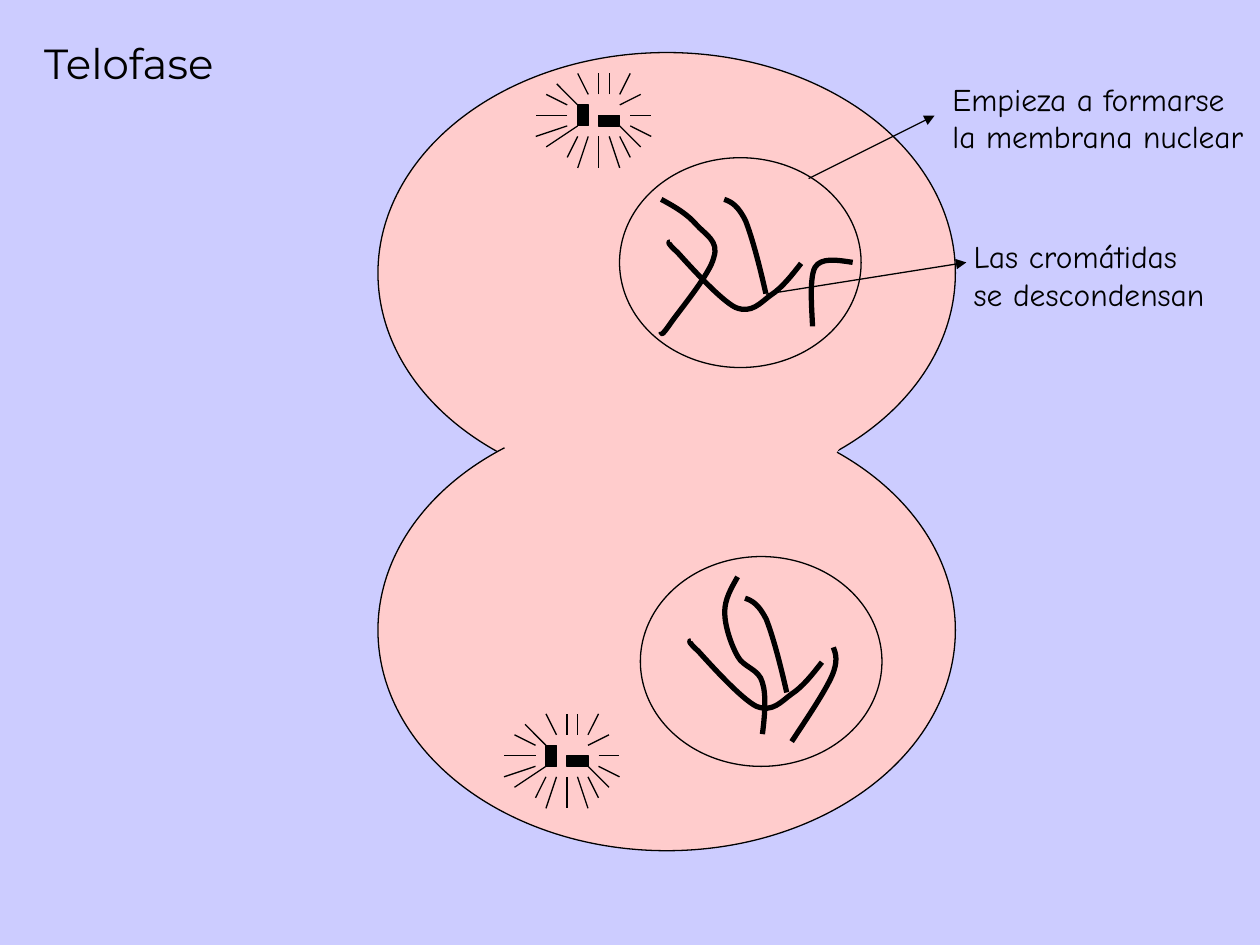
from dataclasses import dataclass

from lxml.etree import SubElement
from pptx import Presentation
from pptx.dml.color import RGBColor
from pptx.enum.shapes import MSO_CONNECTOR as Connector, MSO_SHAPE as Shape
from pptx.enum.text import MSO_AUTO_SIZE as AutoSize
from pptx.oxml.ns import qn
from pptx.util import Cm, Pt


@dataclass(frozen=True)
class Theme:
    background: RGBColor = RGBColor(0xCC, 0xCC, 0xFF)
    cytoplasm: RGBColor = RGBColor(0xFF, 0xCC, 0xCC)
    ink: RGBColor = RGBColor(0, 0, 0)
    title: RGBColor = RGBColor(0xFF, 0, 0)
    thin: Pt = Pt(0.75)
    thick: Pt = Pt(3)
    title_outline: Pt = Pt(1)
    title_font: str = "Montserrat"
    title_size: Pt = Pt(24)
    label_font: str = "Comic Neue"
    label_size: Pt = Pt(18)


THEME = Theme()

# Rays of an aster, in grid steps from its centre: x1, y1, x2, y2
STEP = 2.54 / 12
RAYS = [
    (-1, -2, -2, -4), (0, -2, 0, -4), (1, -2, 1, -4), (2, -2, 3, -4),
    (2, -1, 4, -2), (3, 0, 5, 0), (3, 1, 5, 2), (2, 1, 4, 3),
    (2, 2, 3, 4), (1, 2, 2, 5), (0, 2, 0, 5), (-1, 2, -2, 5),
    (-2, 2, -3, 4), (-2, 1, -5, 3), (-3, 1, -6, 2), (-3, 0, -6, 0),
    (-3, -1, -5, -2), (-4, -3, -2, -1),
]
# Centrioles: x, y, rotation
CENTRIOLES = [(-2, -1, 0), (0.5, -0.5, 270)]

# Chromatids as Bezier points, in cm from the corner of their nucleus
ARC = [(2.11, 0.84), (2.26, 0.89), (2.39, 0.97), (2.54, 1.27),
       (2.67, 1.6), (2.82, 2.16), (2.95, 2.74)]
VALLEY = [(3.66, 2.13), (3.48, 2.36), (3.28, 2.62), (3.05, 2.77),
          (2.84, 2.92), (2.67, 3.15), (2.34, 3.02), (2.03, 2.87),
          (1.37, 2.13), (1.17, 1.91), (0.94, 1.7), (0.99, 1.7), (1.02, 1.7)]
HOOK = [(4.7, 2.11), (4.37, 2.06), (4.06, 2.01), (3.94, 2.21),
        (3.81, 2.44), (3.89, 3.23), (3.89, 3.4)]
BEND = [(0.84, 0.84), (1.12, 0.99), (1.37, 1.14), (1.55, 1.35),
        (1.73, 1.55), (2.01, 1.68), (1.9, 2.01), (1.83, 2.34),
        (1.19, 3.1), (1.02, 3.35), (0.84, 3.61), (0.84, 3.56), (0.84, 3.51)]
TAIL = [(3.89, 1.83), (3.94, 1.96), (3.99, 2.11), (3.86, 2.41),
        (3.71, 2.74), (3.38, 3.23), (3.05, 3.73)]
WAVE = [(1.96, 0.41), (1.83, 0.64), (1.7, 0.86), (1.7, 1.12),
        (1.7, 1.4), (1.83, 1.78), (1.96, 2.01), (2.08, 2.24),
        (2.39, 2.26), (2.46, 2.54), (2.54, 2.79), (2.51, 3.2), (2.46, 3.58)]


def apply_format(target, values):
    for name, value in values.items():
        setattr(target, name, value)


def add_solid(slide, kind, box, fill, outlined=True):
    shape = slide.shapes.add_shape(kind, *map(Cm, box))
    shape.shadow.inherit = False
    shape.fill.solid()
    shape.fill.fore_color.rgb = fill
    if outlined:
        shape.line.color.rgb = THEME.ink
        shape.line.width = THEME.thin
    else:
        shape.line.fill.background()
    return shape


def add_line(slide, start, end, arrow=False):
    line = slide.shapes.add_connector(Connector.STRAIGHT, *map(Cm, (*start, *end)))
    line.line.color.rgb = THEME.ink
    line.line.width = THEME.thin
    if arrow:
        SubElement(line.line._get_or_add_ln(), qn("a:tailEnd"), type="triangle")
    SubElement(line._element.spPr, qn("a:effectLst"))


def add_text(slide, box, lines, font, color):
    """Place one paragraph a line and return the frame."""
    frame = slide.shapes.add_textbox(*map(Cm, box)).text_frame
    frame.word_wrap = False
    for index, text in enumerate(lines):
        paragraph = frame.add_paragraph() if index else frame.paragraphs[0]
        run = paragraph.add_run()
        run.text = text
        apply_format(run.font, font)
        run.font.color.rgb = color
    return frame


def add_title(slide, box, text):
    frame = add_text(slide, box, [text],
                     {"name": THEME.title_font, "size": THEME.title_size}, THEME.title)
    # Outlined letters with a half-transparent fill
    properties = frame.paragraphs[0].runs[0].font._element
    color = properties.find(qn("a:solidFill"))[0]
    SubElement(color, qn("a:alpha"), val="50000")
    outline = SubElement(properties, qn("a:ln"), w=str(THEME.title_outline))
    fill = SubElement(outline, qn("a:solidFill"))
    SubElement(fill, qn("a:srgbClr"), val=str(THEME.ink))
    properties.insert(0, outline)


def add_chromatid(slide, left, top, points):
    start, *rest = [(Cm(left + x), Cm(top + y)) for x, y in points]
    builder = slide.shapes.build_freeform(*start)
    builder.add_line_segments(rest, close=False)
    shape = builder.convert_to_shape()
    # Join each three points into one cubic curve
    segments = list(shape._element.iter(qn("a:lnTo")))
    for first in range(0, len(segments), 3):
        curve = SubElement(segments[first].getparent(), qn("a:cubicBezTo"))
        for segment in segments[first:first + 3]:
            curve.append(segment[0])
            segment.getparent().remove(segment)
    shape.shadow.inherit = False
    shape.fill.background()
    shape.line.color.rgb = THEME.ink
    shape.line.width = THEME.thick


def add_dividing_cell(slide, box):
    left, top, width, height = box
    lobe_height = 8.89
    for lobe_top in (top, top + height - lobe_height):
        add_solid(slide, Shape.OVAL, (left, lobe_top, width, lobe_height), THEME.cytoplasm)
    # Cytoplasm that hides the lobes' outlines where they overlap
    add_solid(slide, Shape.OVAL, (left + 2.12, top + 3.17, 7.62, 6.56),
              THEME.cytoplasm, outlined=False)


def add_aster(slide, box):
    left, top, width, height = box
    centre_x, centre_y = left + width * 6 / 11, top + height * 4 / 9

    def place(x, y):
        return centre_x + x * STEP, centre_y + y * STEP

    for x, y, rotation in CENTRIOLES:
        centriole = add_solid(slide, Shape.RECTANGLE,
                              (*place(x, y), STEP, 2 * STEP), THEME.ink)
        centriole.rotation = rotation
    for x1, y1, x2, y2 in RAYS:
        add_line(slide, place(x1, y1), place(x2, y2))


def add_nucleus(slide, box, chromatids):
    add_solid(slide, Shape.OVAL, box, THEME.cytoplasm)
    for points in chromatids:
        add_chromatid(slide, *box[:2], points)


def add_callout(slide, box, lines, start, end):
    add_line(slide, start, end, arrow=True)
    frame = add_text(slide, box, lines,
                     {"name": THEME.label_font, "size": THEME.label_size}, THEME.ink)
    frame.auto_size = AutoSize.SHAPE_TO_FIT_TEXT


def main():
    presentation = Presentation()
    apply_format(presentation, {"slide_width": Cm(25.4), "slide_height": Cm(19.05)})
    slide = presentation.slides.add_slide(presentation.slide_layouts[6])
    slide.background.fill.solid()
    slide.background.fill.fore_color.rgb = THEME.background

    # Cell with its two asters and two nuclei
    add_dividing_cell(slide, (7.62, 1.06, 11.64, 16.09))
    for left, top in ((10.16, 14.39), (10.8, 1.48)):
        add_aster(slide, (left, top, 11 * STEP, 9 * STEP))
    for left, top, chromatids in (
        (12.49, 3.18, (ARC, HOOK, BEND, VALLEY)),
        (12.91, 11.22, (ARC, TAIL, WAVE, VALLEY)),
    ):
        add_nucleus(slide, (left, top, 4.87, 4.23), chromatids)

    # Title and callouts
    add_title(slide, (0.64, 0.64, 6.78, 2.34), "Telofase")
    add_callout(slide, (18.95, 1.48, 6.38, 1.78),
                ["Empieza a formarse", "la membrana nuclear"],
                (16.3, 3.6), (18.84, 2.33))
    add_callout(slide, (19.38, 4.65, 5.16, 1.78),
                ["Las cromátidas", "se descondensan"],
                (15.44, 5.93), (19.48, 5.29))

    presentation.save("out.pptx")


if __name__ == "__main__":
    main()
